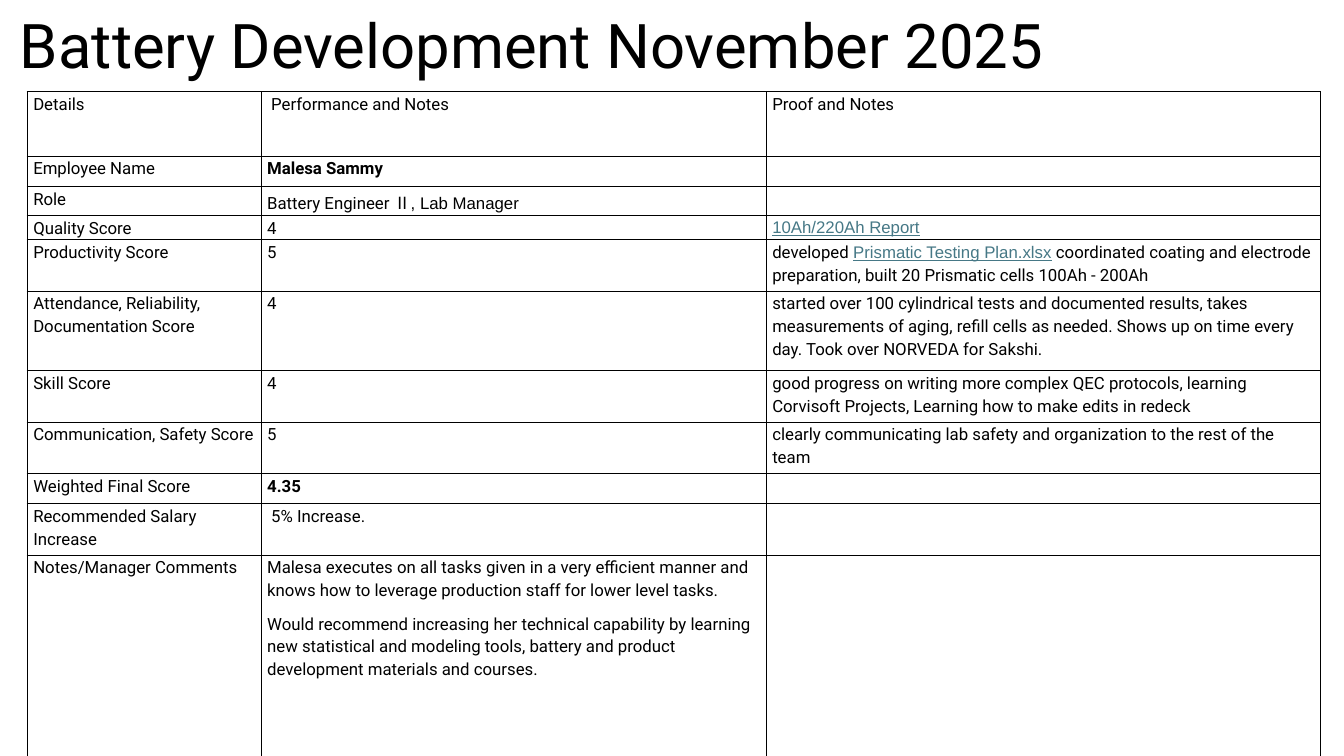
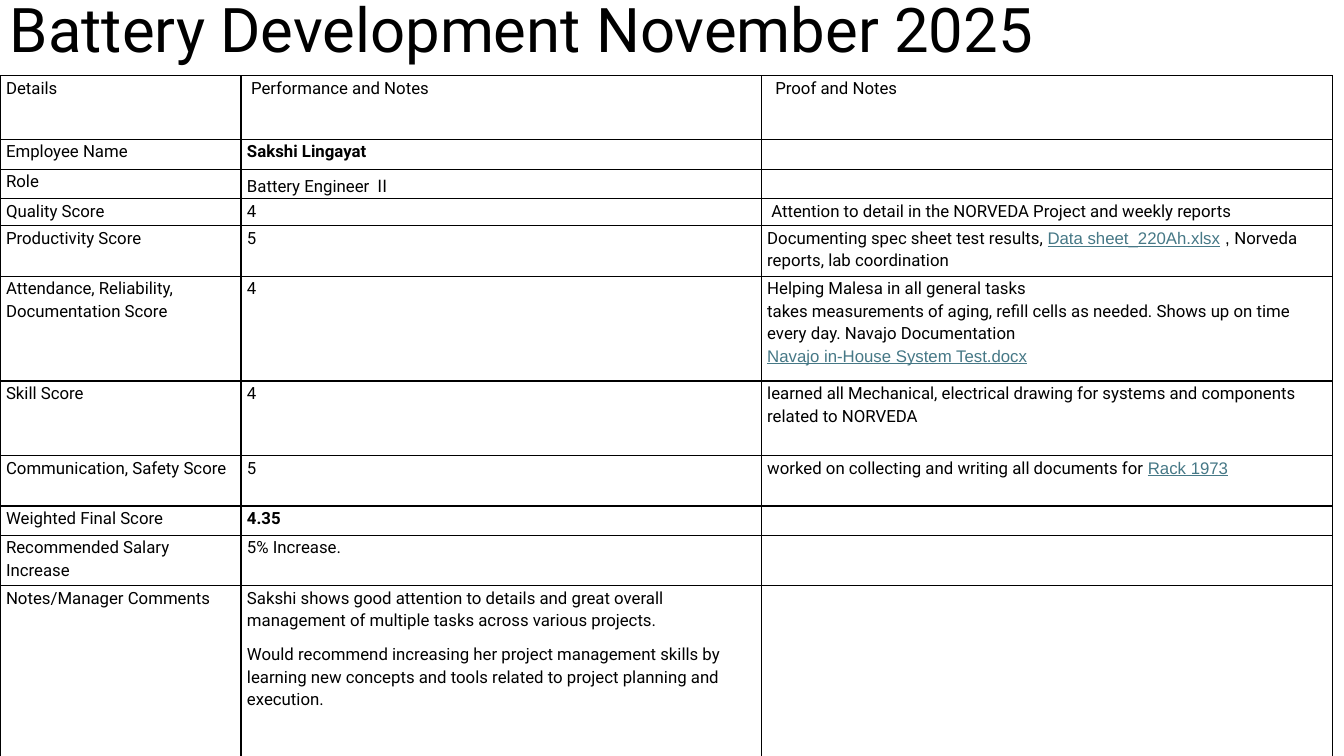
from lxml.etree import SubElement
from pptx import Presentation
from pptx.dml.color import RGBColor
from pptx.enum.text import MSO_ANCHOR
from pptx.oxml.ns import qn
from pptx.util import Inches, Pt

COLORS = {"ink": "000000", "link": "467886"}
BODY_SIZE = 12
TITLE = "Battery Development November 2025"
TITLE_SIZE = (11.5, 1.45)

STYLES = {
    "plain": {},
    "bold": {"bold": True},
    "sans": {"font": "Arial"},
    "numeral": {"font": "Noto Sans CJK JP"},
    "link": {"font": "Arial", "color": "link", "underline": True},
}

HEADER = ("Details", "Performance and Notes", "Proof and Notes")
LABELS = (
    "Employee Name",
    "Role",
    "Quality Score",
    "Productivity Score",
    "Attendance, Reliability, Documentation Score",
    "Skill Score",
    "Communication, Safety Score",
    "Weighted Final Score",
    "Recommended Salary Increase",
    "Notes/Manager Comments",
)

# A cell is a list of paragraphs; a paragraph is a string or a list of (text, style).
REVIEWS = [
    {
        "title_at": (0.1, -0.24),
        "table_at": (0.27, 0.91),
        "columns": (2.32, 5.01, 5.5),
        "rows": (0.64, 0.3, 0.29, 0.24, 0.51, 0.79, 0.51, 0.51, 0.3, 0.51, 2.05),
        "indents": {(0, 1): 0.04, (9, 1): 0.04},
        "performance": [
            [[("Malesa Sammy", "bold")]],
            [[("Battery Engineer ", "plain"), ("Ⅱ", "numeral"), (", Lab Manager", "sans")]],
            ["4"],
            ["5"],
            ["4"],
            ["4"],
            ["5"],
            [[("4.35", "bold")]],
            ["5% Increase."],
            ["Malesa executes on all tasks given in a very efficient manner and knows "
             "how to leverage production staff for lower level tasks.",
             "Would recommend increasing her technical capability by learning new "
             "statistical and modeling tools, battery and product development "
             "materials and courses."],
        ],
        "proof": [
            [],
            [],
            [[("10Ah/220Ah Report", "link")]],
            [[("developed ", "plain"), ("Prismatic Testing Plan.xlsx", "link"),
              (" coordinated coating and electrode preparation, built 20 Prismatic "
               "cells 100Ah - 200Ah", "plain")]],
            ["started over 100 cylindrical tests and documented results, takes "
             "measurements of aging, refill cells as needed. Shows up on time every "
             "day. Took over NORVEDA for Sakshi."],
            ["good progress on writing more complex QEC protocols, learning "
             "Corvisoft Projects, Learning how to make edits in redeck"],
            ["clearly communicating lab safety and organization to the rest of the team"],
            [],
            [],
            [],
        ],
    },
    {
        "title_at": (0, -0.4),
        "table_at": (0, 0.75),
        "columns": (2.39, 5.16, 5.67),
        "rows": (0.63, 0.3, 0.29, 0.27, 0.5, 1.04, 0.74, 0.5, 0.29, 0.5, 2),
        "indents": {(0, 1): 0.04, (0, 2): 0.08, (3, 2): 0.04},
        "performance": [
            [[("Sakshi Lingayat", "bold")]],
            [[("Battery Engineer ", "plain"), ("Ⅱ", "numeral")]],
            ["4"],
            ["5"],
            ["4"],
            ["4"],
            ["5"],
            [[("4.35", "bold")]],
            ["5% Increase."],
            ["Sakshi shows good attention to details and great overall management of "
             "multiple tasks across various projects.",
             "Would recommend increasing her project management skills by learning "
             "new concepts and tools related to project planning and execution."],
        ],
        "proof": [
            [],
            [],
            ["Attention to detail in the NORVEDA Project and weekly reports"],
            [[("Documenting spec sheet test results, ", "plain"),
              ("Data sheet_220Ah.xlsx", "link"), (" , ", "sans"),
              ("Norveda reports, lab coordination", "plain")]],
            ["Helping Malesa in all general tasks",
             "takes measurements of aging, refill cells as needed. Shows up on time "
             "every day. Navajo Documentation",
             [("Navajo in-House System Test.docx", "link")]],
            ["learned all Mechanical, electrical drawing for systems and components "
             "related to NORVEDA"],
            [[("worked on collecting and writing all documents for ", "plain"),
              ("Rack 1973", "link")]],
            [],
            [],
            [],
        ],
    },
]


def add_span(para, text, size=BODY_SIZE, font="Roboto", color="ink", bold=False, underline=False):
    span = para.add_run()
    span.text = text
    span.font.size = Pt(size)
    span.font.name = font
    span.font.bold = bold
    span.font.underline = underline
    span.font.color.rgb = RGBColor.from_string(COLORS[color])
    if font == STYLES["numeral"]["font"]:
        SubElement(span.font._element, qn("a:ea"), typeface=font)


def add_title(page, left, top):
    box = page.shapes.add_textbox(Inches(left), Inches(top), *map(Inches, TITLE_SIZE))
    box.text_frame.word_wrap = True
    box.text_frame.vertical_anchor = MSO_ANCHOR.MIDDLE
    para = box.text_frame.paragraphs[0]
    para.line_spacing = 0.9
    add_span(para, TITLE, size=44)


def draw_borders(cell, width=1):
    properties = cell._tc.get_or_add_tcPr()
    for side in ("lnL", "lnR", "lnT", "lnB"):
        line = SubElement(properties, qn(f"a:{side}"), w=str(Pt(width)))
        fill = SubElement(line, qn("a:solidFill"))
        SubElement(fill, qn("a:srgbClr"), val=COLORS["ink"])


def fill_cell(cell, paragraphs, indent=0, gap=0):
    """Write the paragraphs, with gap points before each one after the first."""
    draw_borders(cell)
    cell.fill.background()
    cell.margin_left = Inches(0.06 + indent)
    cell.margin_right = Inches(0.06)
    cell.margin_top = cell.margin_bottom = 0
    frame = cell.text_frame
    frame.paragraphs[0].font.size = Pt(BODY_SIZE)
    for index, content in enumerate(paragraphs):
        para = frame.add_paragraph() if index else frame.paragraphs[0]
        para.line_spacing = 1.15
        para.space_before = Pt(gap if index else 0)
        spans = [(content, "plain")] if isinstance(content, str) else content
        for text, style in spans:
            add_span(para, text, **STYLES[style])


def add_review_table(page, review):
    columns, rows = review["columns"], review["rows"]
    grid = [[[heading] for heading in HEADER]]
    grid += zip([[label] for label in LABELS], review["performance"], review["proof"])
    table = page.shapes.add_table(
        len(rows), len(columns), *map(Inches, review["table_at"]),
        Inches(sum(columns)), Inches(sum(rows))).table
    table.first_row = table.horz_banding = False
    for column, width in zip(table.columns, columns):
        column.width = Inches(width)
    for row_index, (height, contents) in enumerate(zip(rows, grid)):
        table.rows[row_index].height = Inches(height)
        for column_index, paragraphs in enumerate(contents):
            fill_cell(table.cell(row_index, column_index), paragraphs,
                      indent=review["indents"].get((row_index, column_index), 0),
                      gap=8 if row_index == len(LABELS) else 0)


def main():
    deck = Presentation()
    deck.slide_width, deck.slide_height = Inches(13.33), Inches(7.5)
    for review in REVIEWS:
        page = deck.slides.add_slide(deck.slide_layouts[6])
        add_title(page, *review["title_at"])
        add_review_table(page, review)
    deck.save("out.pptx")


if __name__ == "__main__":
    main()
